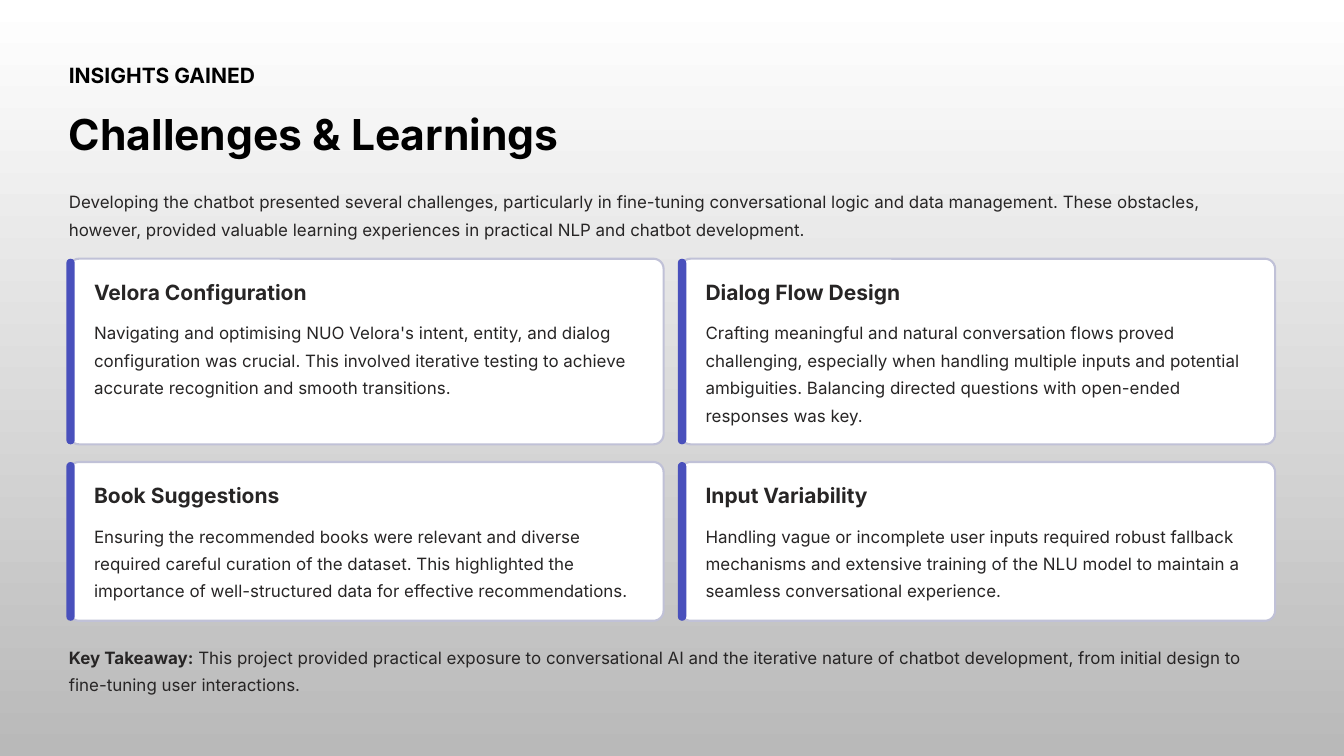
from pptx import Presentation
from pptx.dml.color import RGBColor
from pptx.enum import shapes
from pptx.util import Inches, Pt

INK, BLACK, WHITE = "272525", "000000", "FFFFFF"
BORDER, ACCENT = "C0C1D7", "4950BC"
MARGIN, CONTENT_W = 0.82, 14.36
CARD_W, CARD_GAP = 7.08, 0.2
CARD_RADIUS = 0.12

CARD_ROWS = [
    (3.08, 2.21, [
        ("Velora Configuration",
         "Navigating and optimising NUO Velora's intent, entity, and dialog configuration was "
         "crucial. This involved iterative testing to achieve accurate recognition and smooth "
         "transitions."),
        ("Dialog Flow Design",
         "Crafting meaningful and natural conversation flows proved challenging, especially when "
         "handling multiple inputs and potential ambiguities. Balancing directed questions with "
         "open-ended responses was key."),
    ]),
    (5.5, 1.89, [
        ("Book Suggestions",
         "Ensuring the recommended books were relevant and diverse required careful curation of "
         "the dataset. This highlighted the importance of well-structured data for effective "
         "recommendations."),
        ("Input Variability",
         "Handling vague or incomplete user inputs required robust fallback mechanisms and "
         "extensive training of the NLU model to maintain a seamless conversational experience."),
    ]),
]


def rgb(value):
    return RGBColor.from_string(value)


def add_text(slide, box, content, size=14.5, spacing=23.5, color=INK, bold=False, wrap=True):
    """Place one paragraph in box and return it."""
    tf = slide.shapes.add_textbox(*map(Inches, box)).text_frame
    tf.margin_left = tf.margin_right = tf.margin_top = tf.margin_bottom = 0
    tf.word_wrap = wrap
    p = tf.paragraphs[0]
    p.line_spacing = Pt(spacing)
    p.font.name, p.font.size, p.font.bold = "Inter", Pt(size), bold
    p.font.color.rgb = rgb(color)
    p.add_run().text = content
    return p


def add_heading(slide, box, content, color=INK):
    add_text(slide, box, content, 18, 23, color, bold=True, wrap=False)


def add_round_rect(slide, box, radius, fill, line=None):
    sp = slide.shapes.add_shape(shapes.MSO_SHAPE.ROUNDED_RECTANGLE, *map(Inches, box))
    sp.shadow.inherit = False
    sp.adjustments[0] = radius / min(box[2:])
    sp.fill.solid()
    sp.fill.fore_color.rgb = rgb(fill)
    if line:
        sp.line.color.rgb = rgb(line)
        sp.line.width = Pt(1.8)
    else:
        sp.line.fill.background()


def add_background(slide):
    fill = slide.background.fill
    fill.gradient()
    fill.gradient_angle = 270
    for stop, color in zip(fill.gradient_stops, (WHITE, "B9B9B9")):
        stop.color.rgb = rgb(color)


def add_header(slide, x, y, w):
    add_heading(slide, (x, y, 2.56, 0.32), "INSIGHTS GAINED", BLACK)
    add_text(slide, (x, y + 0.53, 5.9, 0.64), "Challenges & Learnings",
             36.5, 46, BLACK, bold=True, wrap=False)
    add_text(slide, (x, y + 1.48, w, 0.66),
             "Developing the chatbot presented several challenges, particularly in fine-tuning "
             "conversational logic and data management. These obstacles, however, provided "
             "valuable learning experiences in practical NLP and chatbot development.")


def add_card(slide, x, y, w, h, title, body):
    add_round_rect(slide, (x, y, w, h), CARD_RADIUS, WHITE, BORDER)
    add_round_rect(slide, (x - 0.03, y, 0.1, h), 0.05, ACCENT)
    add_heading(slide, (x + 0.3, y + 0.23, 2.56, 0.32), title)
    add_text(slide, (x + 0.3, y + 0.68, w - 0.54, h - 0.9), body)


def add_takeaway(slide, x, y, w):
    p = add_text(slide, (x, y, w, 0.66), "Key Takeaway:")
    p.runs[0].font.bold = True
    p.add_run().text = (
        " This project provided practical exposure to conversational AI and the iterative "
        "nature of chatbot development, from initial design to fine-tuning user interactions.")


def main():
    prs = Presentation()
    prs.slide_width, prs.slide_height = Inches(16), Inches(9)
    slide = prs.slides.add_slide(prs.slide_layouts[6])
    add_background(slide)
    add_header(slide, MARGIN, 0.72, CONTENT_W)
    for y, h, cards in CARD_ROWS:
        for col, (title, body) in enumerate(cards):
            add_card(slide, MARGIN + col * (CARD_W + CARD_GAP), y, CARD_W, h, title, body)
    add_takeaway(slide, MARGIN, 7.62, CONTENT_W)
    prs.save("out.pptx")


if __name__ == "__main__":
    main()
